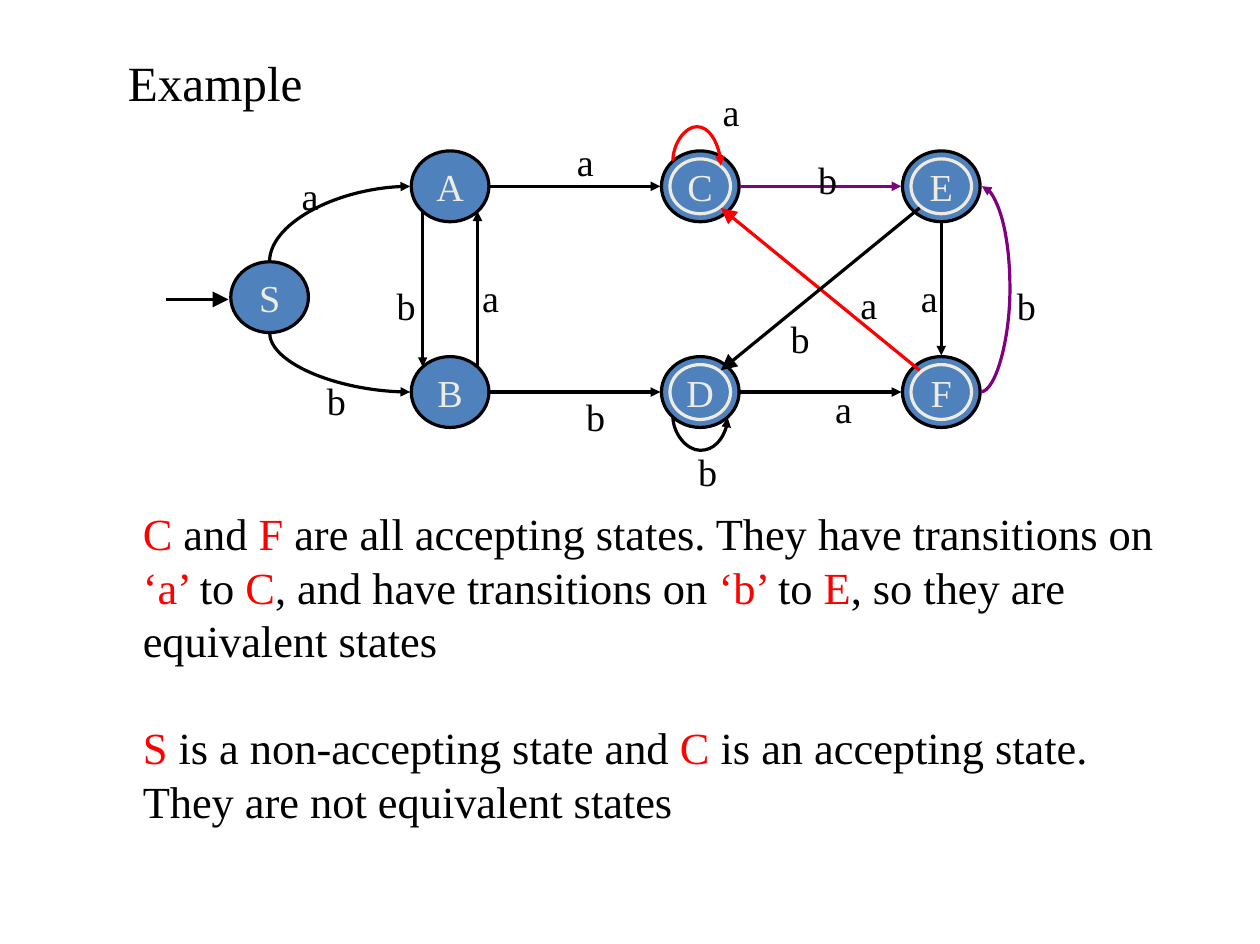
"""Builds a slide with a finite automaton and a note on its equivalent states."""
from dataclasses import dataclass
from math import copysign

from lxml.etree import SubElement
from pptx import Presentation
from pptx.dml.color import RGBColor
from pptx.enum.shapes import MSO_CONNECTOR as Connector, MSO_SHAPE as Preset
from pptx.enum.text import MSO_ANCHOR as Anchor, PP_ALIGN as Align
from pptx.oxml.ns import qn
from pptx.util import Inches, Pt

CELL = 0.1
COLUMNS, ROWS = 110.3, 82.6
FONT = "Times New Roman"
BLACK, RED, PURPLE, BLUE, CREAM = "000000", "FF0000", "800080", "4F81BD", "EEECE1"

Point = tuple[float, float]
LEFT, RIGHT, TOP, BOTTOM = (-3.5, 0), (3.5, 0), (0, -3.2), (0, 3.2)
UP_LEFT, UP_RIGHT, DOWN_LEFT, DOWN_RIGHT = (-2.4, -2.2), (2.4, -2.2), (-2.4, 2.2), (2.4, 2.2)
INNER_UP_LEFT, INNER_UP_RIGHT = (-1.9, -1.9), (1.8, -1.9)
INNER_DOWN_LEFT, INNER_DOWN_RIGHT = (-1.9, 1.9), (1.8, 1.9)


@dataclass(frozen=True)
class State:
    """A state of the automaton, placed by its centre in grid cells."""
    column: float
    row: float
    accepting: bool = False


@dataclass(frozen=True)
class Edge:
    """A transition between two states, with offsets from their centres."""
    source: str
    start: Point
    target: str
    end: Point
    color: str = BLACK
    head: str = "med"


@dataclass(frozen=True)
class Curve(Edge):
    """A curved transition; a bulge makes it a loop, otherwise it is a quarter arc."""
    rotation: int = 0
    bulge: float = 0


@dataclass(frozen=True)
class Label:
    """The input symbol of a transition, placed by its centre."""
    text: str
    column: float
    row: float


STATES = {
    "S": State(23.6, 26),
    "A": State(39.4, 16.3),
    "B": State(39.4, 34.3),
    "C": State(61.3, 16.3, True),
    "D": State(61.3, 34.3, True),
    "E": State(82.4, 16.3, True),
    "F": State(82.4, 34.3, True),
}
EDGES = [
    Edge("S", (-9.1, 0.2), "S", (-3.6, 0.2), head="lg"),
    Curve("S", (0, -3.1), "A", LEFT, rotation=270),
    Curve("S", (0, 3.1), "B", LEFT, rotation=270),
    Edge("B", UP_RIGHT, "A", DOWN_RIGHT),
    Edge("A", DOWN_LEFT, "B", UP_LEFT),
    Edge("A", RIGHT, "C", LEFT),
    Edge("B", RIGHT, "D", LEFT),
    Edge("D", RIGHT, "F", LEFT),
    Edge("C", RIGHT, "E", LEFT, PURPLE),
    Edge("E", BOTTOM, "F", TOP),
    Curve("F", RIGHT, "E", RIGHT, PURPLE, bulge=2.6),
    Curve("C", UP_LEFT, "C", (1.8, -1.8), RED, rotation=90, bulge=-3),
    Curve("D", DOWN_LEFT, "D", DOWN_RIGHT, rotation=270, bulge=-3),
    Edge("F", INNER_UP_LEFT, "C", INNER_DOWN_RIGHT, RED, "lg"),
    Edge("E", INNER_DOWN_LEFT, "D", INNER_UP_RIGHT, head="lg"),
]
LABELS = [
    Label("a", 64, 9.7), Label("b", 89.85, 26.7), Label("a", 27.15, 17.1),
    Label("a", 42.95, 26), Label("a", 51.25, 14.1), Label("a", 81.35, 26),
    Label("a", 73.85, 35.7), Label("b", 29.45, 35), Label("b", 35.55, 26.7),
    Label("b", 52.15, 36.4), Label("b", 72.45, 15.7), Label("b", 61.95, 41.2),
    Label("a", 76.05, 26.6), Label("b", 70.05, 29.6),
]
NOTES = [
    "|C| and |F |are all accepting states. They have transitions on |‘a’ |to |C|, "
    "and have transitions on| ‘b’ |to |E|, so they are equivalent states",
    "|S| is a non-accepting state and |C| is an accepting state. "
    "They are not equivalent states",
]


def cells(count: float) -> int:
    """Convert grid cells to a slide length."""
    return Inches(count * CELL)


def rgb(value: str) -> RGBColor:
    """Turn a hex string into a colour."""
    return RGBColor.from_string(value)


def write(shape, *texts: str, size: float = 24, color: str = BLACK, accent: str = RED,
          align=Align.CENTER, anchor=Anchor.MIDDLE, wrap: bool = False,
          margins: Point = (0, 0), pitch: float = 0) -> None:
    """Fill a shape with paragraphs, where every second part between bars is accented."""
    frame = shape.text_frame
    frame.word_wrap, frame.vertical_anchor = wrap, anchor
    frame.margin_left = frame.margin_right = cells(margins[0])
    frame.margin_top = frame.margin_bottom = cells(margins[1])
    for index, text in enumerate(texts):
        paragraph = frame.add_paragraph() if index else frame.paragraphs[0]
        paragraph.alignment = align
        if pitch:
            paragraph.line_spacing = Pt(pitch)
        paragraph.space_before = Pt(pitch if index else 0)
        for part, words in enumerate(text.split("|")):
            if words:
                run = paragraph.add_run()
                run.text = words
                run.font.name, run.font.size = FONT, Pt(size)
                run.font.color.rgb = rgb(accent if part % 2 else color)


def add_ellipse(slide, state: State, width: float, height: float, line: str):
    """Draw an ellipse around the centre of a state."""
    shape = slide.shapes.add_shape(
        Preset.OVAL, cells(state.column - width / 2), cells(state.row - height / 2),
        cells(width), cells(height))
    shape.shadow.inherit = False
    shape.fill.solid()
    shape.fill.fore_color.rgb = rgb(BLUE)
    shape.line.color.rgb, shape.line.width = rgb(line), Pt(2)
    return shape


def add_state(slide, name: str, state: State) -> None:
    """Draw a state with its name, and a ring if it accepts."""
    shape = add_ellipse(slide, state, 6.8, 6.2, BLACK)
    if state.accepting:
        shape = add_ellipse(slide, state, 5.3, 4.8, CREAM)
    write(shape, name, color=CREAM)


def add_edge(slide, edge: Edge) -> None:
    """Draw a transition as an arrow, straight or curved."""
    source, target = STATES[edge.source], STATES[edge.target]
    left, top = source.column + edge.start[0], source.row + edge.start[1]
    right, bottom = target.column + edge.end[0], target.row + edge.end[1]
    curved = isinstance(edge, Curve)
    across, down = right - left, bottom - top
    if curved:
        turned = {0: (across, down), 90: (down, -across), 270: (-down, across)}
        across, down = turned[edge.rotation]
        if abs(across) < 0.1:
            across = copysign(0.1, edge.bulge)
    x, y = (left + right - across) / 2, (top + bottom - down) / 2
    connector = slide.shapes.add_connector(
        Connector.CURVE if curved else Connector.STRAIGHT,
        cells(x), cells(y), cells(x + across), cells(y + down))
    connector.line.color.rgb, connector.line.width = rgb(edge.color), Pt(2)
    properties = connector._element.spPr
    SubElement(properties, qn("a:effectLst"))
    SubElement(properties.find(qn("a:ln")), qn("a:tailEnd"),
               type="triangle", w=edge.head, len=edge.head)
    if curved:
        properties.find(qn("a:xfrm")).set("rot", str(edge.rotation * 60000))
        geometry = properties.find(qn("a:prstGeom"))
        geometry.set("prst", "curvedConnector3" if edge.bulge else "curvedConnector2")
        if edge.bulge:
            guides = geometry.find(qn("a:avLst"))
            share = round(edge.bulge / across * 100000)
            SubElement(guides, qn("a:gd"), name="adj1", fmla=f"val {share}")


def main() -> None:
    """Build and save the slide."""
    presentation = Presentation()
    presentation.slide_width, presentation.slide_height = cells(COLUMNS), cells(ROWS)
    slide = presentation.slides.add_slide(presentation.slide_layouts[5])
    title = slide.shapes.title
    title.left, title.top, title.width, title.height = map(cells, (10.1, 4, 22.1, 6.3))
    write(title, "Example", size=31, align=Align.LEFT, anchor=Anchor.TOP,
          wrap=True, margins=(1.1, 0.6))
    notes = slide.shapes.add_textbox(*map(cells, (11.4, 43.7, 92.8, 29.4)))
    write(notes, *NOTES, size=28, align=Align.LEFT, anchor=Anchor.TOP,
          wrap=True, margins=(1.1, 0.6), pitch=33.7)
    for name, state in STATES.items():
        add_state(slide, name, state)
    for edge in EDGES:
        add_edge(slide, edge)
    for label in LABELS:
        box = slide.shapes.add_textbox(
            cells(label.column - 1.8), cells(label.row - 2), cells(3.6), cells(4))
        write(box, label.text)
    presentation.save("out.pptx")


if __name__ == "__main__":
    main()
